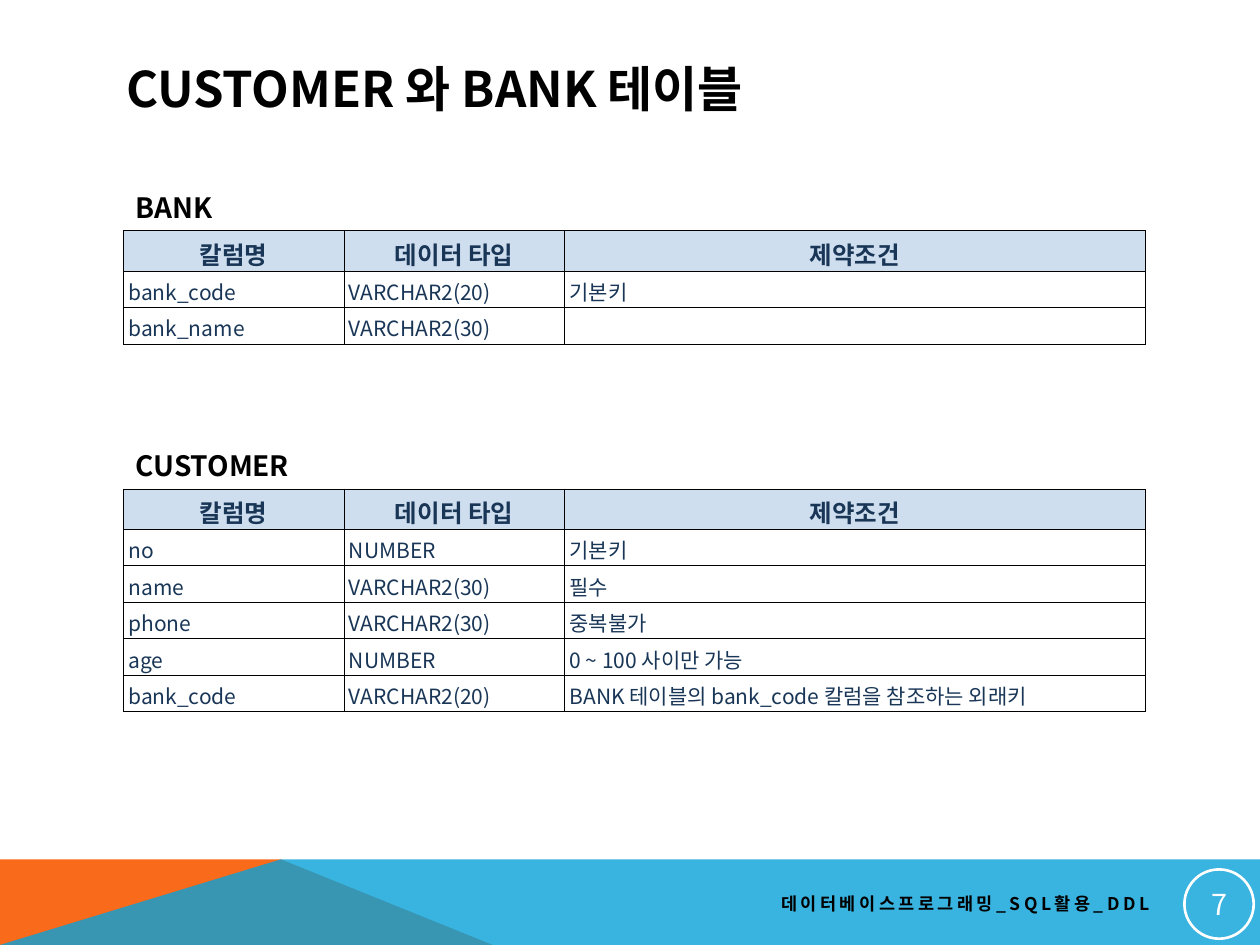
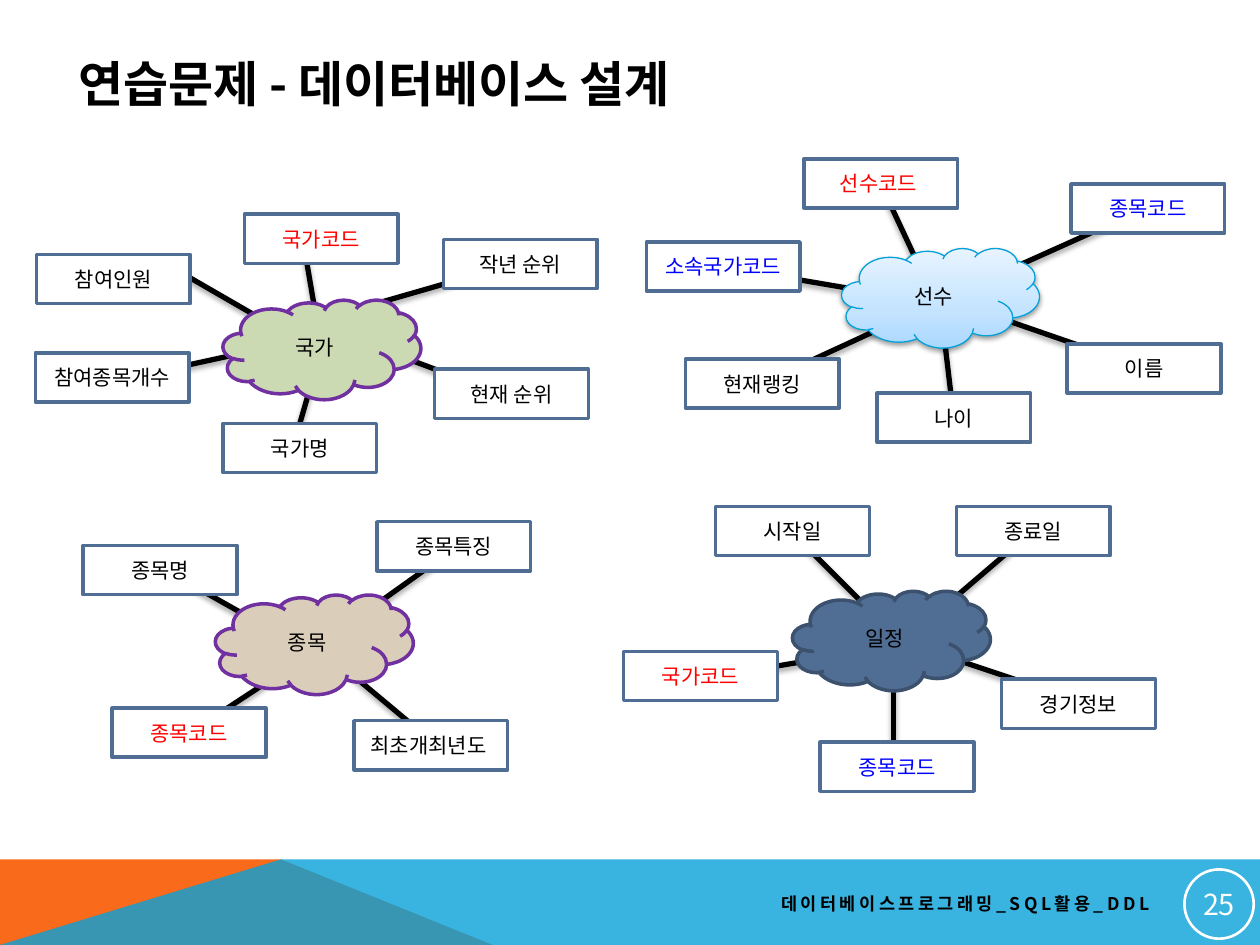
import dataclasses

import lxml.etree
import pptx
import pptx.dml.color
import pptx.enum.shapes
import pptx.enum.text
import pptx.oxml
import pptx.oxml.ns
import pptx.util

FONT = "Noto Sans CJK KR"
BLACK, WHITE, RED, BLUE = "000000", "FFFFFF", "FF0000", "0000FF"
ORANGE, SKY = "F96A1B", "08A1D9"
NAVY, PALE, STEEL, PURPLE = "193657", "CEDEEF", "506E94", "7030A0"
COLUMNS, ROWS = 100, 75
CELL = pptx.util.Inches(0.1)
ALIGN = pptx.enum.text.PP_ALIGN
MIDDLE = pptx.enum.text.MSO_ANCHOR.MIDDLE
SHAPE = pptx.enum.shapes.MSO_SHAPE
qn = pptx.oxml.ns.qn
NAMESPACE = pptx.oxml.ns.nsdecls("a")


@dataclasses.dataclass
class Box:
    """A rectangle in grid cells."""
    left: float
    top: float
    width: float
    height: float

    def lengths(self):
        """Return left, top, width and height as lengths."""
        return [cells(value) for value in (self.left, self.top, self.width, self.height)]

    def point(self, across, down):
        """Return a point offset from the top left corner, as lengths."""
        return cells(self.left + across), cells(self.top + down)


def cells(count):
    """Turn a count of grid cells into a length."""
    return int(count * CELL)


def color(code):
    """Turn a hex string into a colour."""
    return pptx.dml.color.RGBColor.from_string(code)


def write(frame, text, size, code=BLACK, bold=False, align=ALIGN.LEFT, spacing=None):
    """Set one line of text and format its run."""
    frame.text = text
    para = frame.paragraphs[0]
    para.alignment = align
    for span in para.runs:
        span.font.size = pptx.util.Pt(size)
        span.font.bold = bold
        span.font.color.rgb = color(code)
        span.font.name = FONT
        properties = span.font._element
        lxml.etree.SubElement(properties, qn("a:ea"), typeface=FONT)
        if spacing:
            properties.set("spc", str(spacing * 100))
    if not text:
        lxml.etree.SubElement(para._p, qn("a:endParaRPr"), sz=str(size * 100))


def add_shadow(shape, opacity, blur, distance):
    """Give a shape or connector a soft shadow that falls straight down."""
    shape._element.spPr.append(pptx.oxml.parse_xml(
        f'<a:effectLst {NAMESPACE}><a:outerShdw blurRad="{pptx.util.Pt(blur)}" '
        f'dist="{pptx.util.Pt(distance)}" dir="5400000" rotWithShape="0">'
        f'<a:srgbClr val="{BLACK}"><a:alpha val="{opacity * 1000}"/></a:srgbClr>'
        '</a:outerShdw></a:effectLst>'))


def fill_gradient(shape, stops):
    """Fill a shape with a gradient that runs from bottom to top."""
    marks = "".join(f'<a:gs pos="{place * 1000}"><a:srgbClr val="{code}"/></a:gs>'
                    for place, code in stops)
    shape._element.spPr.insert(2, pptx.oxml.parse_xml(
        f'<a:gradFill {NAMESPACE} rotWithShape="1"><a:gsLst>{marks}</a:gsLst>'
        '<a:lin ang="16200000" scaled="0"/></a:gradFill>'))


def add_shape(page, kind, box, line, weight, fill=None):
    """Add an outlined preset shape, filled with a colour or left clear."""
    shape = page.shapes.add_shape(kind, *box.lengths())
    shape.line.color.rgb = color(line)
    shape.line.width = pptx.util.Pt(weight)
    if isinstance(fill, list):
        fill_gradient(shape, fill)
    elif fill:
        shape.fill.solid()
        shape.fill.fore_color.rgb = color(fill)
    else:
        shape.fill.background()
    shape.text_frame.vertical_anchor = MIDDLE
    return shape


def add_band(page, master, points, code, opacity=100):
    """Draw one band polygon and move it to the slide master."""
    outline = [(cells(across), cells(down)) for across, down in points]
    builder = page.shapes.build_freeform(*outline[0], scale=1.0)
    builder.add_line_segments(outline[1:], close=True)
    band = builder.convert_to_shape()
    band.shadow.inherit = False
    band.fill.solid()
    band.fill.fore_color.rgb = color(code)
    band.line.fill.background()
    tint = band._element.spPr.find(".//" + qn("a:srgbClr"))
    lxml.etree.SubElement(tint, qn("a:alpha"), val=str(opacity * 1000))
    master.element.cSld.spTree.append(band._element)


def add_bands(page, master):
    """Draw the footer bands shared by every slide."""
    top, peak, foot = 68.2, 22.3, 39.1
    add_band(page, master, [(0, ROWS), (0, top), (peak, top), (foot, ROWS)], ORANGE)
    add_band(page, master, [(0, ROWS), (peak, top), (COLUMNS, top), (COLUMNS, ROWS)], SKY, 80)


def add_title(page, box, text):
    """Place and format the title placeholder."""
    title = page.shapes.title
    title.left, title.top, title.width, title.height = box.lengths()
    title.text_frame.auto_size = pptx.enum.text.MSO_AUTO_SIZE.NONE
    title.text_frame.vertical_anchor = MIDDLE
    write(title.text_frame, text, 28, bold=True)


def add_footer(page, number):
    """Add the course name and the ringed page number."""
    label = page.shapes.add_textbox(*Box(35.8, 70.2, 56.4, 3).lengths())
    label.text_frame.word_wrap = True
    label.text_frame.vertical_anchor = MIDDLE
    write(label.text_frame, "데이터베이스프로그래밍_SQL활용_DDL", 10, bold=True,
          align=ALIGN.RIGHT, spacing=2)
    ring = add_shape(page, SHAPE.OVAL, Box(94, 69, 5.5, 5.5), WHITE, 1.5)
    ring.shadow.inherit = False
    frame = ring.text_frame
    frame.margin_left = frame.margin_right = pptx.util.Inches(0.01)
    frame.margin_top = frame.margin_bottom = pptx.util.Inches(0.01)
    write(frame, str(number), 16.5, WHITE, align=ALIGN.CENTER)


def format_cell(cell, text, header):
    """Write one table cell with its fill, margins and borders."""
    cell.margin_left = cell.margin_right = pptx.util.Inches(0.04)
    cell.margin_top = cell.margin_bottom = pptx.util.Inches(0.04)
    cell.vertical_anchor = MIDDLE
    if header:
        cell.fill.solid()
        cell.fill.fore_color.rgb = color(PALE)
        write(cell.text_frame, text, 14, NAVY, True, ALIGN.CENTER)
    else:
        cell.fill.background()
        write(cell.text_frame, text, 12, NAVY)
    for index, side in enumerate(("lnL", "lnR", "lnT", "lnB")):
        cell._tc.tcPr.insert(index, pptx.oxml.parse_xml(
            f'<a:{side} {NAMESPACE} w="{pptx.util.Pt(0.28)}"><a:solidFill>'
            f'<a:srgbClr val="{BLACK}"/></a:solidFill></a:{side}>'))


def add_schema(page, box, name, fields):
    """Add a table name and the table of its columns below it."""
    label = page.shapes.add_textbox(*Box(box.left, box.top, 14.2, 3.7).lengths())
    label.text_frame.word_wrap = False
    write(label.text_frame, name, 16, bold=True)
    records = [("칼럼명", "데이터 타입", "제약조건"), *fields]
    area = Box(box.left, box.top + 3.7, box.width, box.height - 3.7)
    table = page.shapes.add_table(len(records), 3, *area.lengths()).table
    table.horz_banding = False
    for column, width in zip(table.columns, (17.5, 17.5, box.width - 35)):
        column.width = cells(width)
    for index, record in enumerate(records):
        table.rows[index].height = cells(2.9 if index else 3.2)
        for cell, text in zip(table.rows[index].cells, record):
            format_cell(cell, text, index == 0)


def add_spoke(page, start, end):
    """Add a thick shadowed line from an entity to an attribute."""
    spoke = page.shapes.add_connector(
        pptx.enum.shapes.MSO_CONNECTOR.STRAIGHT, *start, *end)
    spoke.line.color.rgb = color(BLACK)
    spoke.line.width = pptx.util.Pt(3)
    add_shadow(spoke, 35, 3.1, 1.8)


def add_entity(page, box, name, fill, line, attributes, raised=False):
    """Add a cloud in its box, with attributes placed relative to it."""
    for text, code, corner, start, end in attributes:
        add_spoke(page, box.point(*start), box.point(*end))
    for text, code, (across, down), start, end in attributes:
        place = Box(box.left + across, box.top + down, 12.2, 3.9)
        label = add_shape(page, SHAPE.RECTANGLE, place, STEEL, 2, WHITE)
        label.shadow.inherit = False
        write(label.text_frame, text, 12, code, align=ALIGN.CENTER)
    cloud = add_shape(page, SHAPE.CLOUD, box, line, 0.75 if raised else 2, fill)
    if raised:
        add_shadow(cloud, 38, 3.1, 1.6)
    else:
        cloud.shadow.inherit = False
    write(cloud.text_frame, name, 12, align=ALIGN.CENTER)


BANK = [("bank_code", "VARCHAR2(20)", "기본키"), ("bank_name", "VARCHAR2(30)", "")]
CUSTOMER = [
    ("no", "NUMBER", "기본키"),
    ("name", "VARCHAR2(30)", "필수"),
    ("phone", "VARCHAR2(30)", "중복불가"),
    ("age", "NUMBER", "0 ~ 100 사이만 가능"),
    ("bank_code", "VARCHAR2(20)", "BANK 테이블의 bank_code 칼럼을 참조하는 외래키"),
]
EVENT = [
    ("최초개최년도 ", BLACK, (11, 10), (7.8, 3.8), (17.5, 11.9)),
    ("종목코드", RED, (-8.2, 9), (6.6, 5.3), (-2.1, 11)),
    ("종목명", BLACK, (-10.5, -3.9), (6.6, 4), (-4.4, -2.2)),
    ("종목특징", BLACK, (12.8, -5.8), (7.8, 4.3), (18.9, -3.6)),
]
SCHEDULE = [
    ("시작일", BLACK, (-6.1, -6.7), (7.9, 3.3), (-0.1, -4.7)),
    ("종료일", BLACK, (13, -6.7), (12.8, 0.6), (19, -4.7)),
    ("경기정보", BLACK, (16.6, 7), (8.3, 3.9), (22.7, 8.7)),
    ("국가코드", RED, (-13.4, 4.8), (7.9, 4.4), (-7.3, 7)),
    ("종목코드", BLUE, (2.2, 12), (8, 4.4), (8, 13.7)),
]
PLAYER = [
    ("종목코드", BLUE, (18.2, -5.1), (8.4, 3.9), (24, -3.1)),
    ("이름", BLACK, (17.9, 7.6), (7.8, 3.9), (24, 9.5)),
    ("현재랭킹", BLACK, (-12.4, 8.8), (7.8, 4.2), (-6.3, 10.7)),
    ("나이", BLACK, (2.8, 11.5), (7.8, 4.2), (8.9, 13.5)),
    ("선수코드 ", RED, (-3, -7.1), (7.4, 4.1), (3.1, -5.1)),
    ("소속국가코드", BLUE, (-15.5, -0.5), (7.7, 4.4), (-9.3, 1.5)),
]
NATION = [
    ("참여종목개수", BLACK, (-14.9, 4.2), (3.5, 3.8), (-7.5, 6.2)),
    ("참여인원", BLACK, (-14.8, -3.6), (7, 3.8), (-2.7, -1.8)),
    ("국가코드", RED, (1.7, -6.8), (7.8, 3.8), (6.1, -6.2)),
    ("현재 순위", BLACK, (16.8, 5.5), (11.2, 3.4), (21.9, 7.4)),
    ("국가명", BLACK, (0, 9.8), (7.8, 3.9), (6.1, 9.8)),
    ("작년 순위", BLACK, (17.5, -4.8), (9.7, 1), (22.9, -2.8)),
]


def add_page(deck, title, box, number):
    """Add a slide with its title and footer."""
    page = deck.slides.add_slide(deck.slide_layouts[5])
    add_title(page, box, title)
    add_footer(page, number)
    return page


def build():
    """Build and save the deck."""
    deck = pptx.Presentation()
    deck.slide_width, deck.slide_height = cells(COLUMNS), cells(ROWS)
    page = add_page(deck, "CUSTOMER 와 BANK 테이블", Box(9, 4, 82.2, 6), 7)
    add_bands(page, deck.slide_master)
    add_schema(page, Box(9.8, 14.6, 81.1, 12.7), "BANK", BANK)
    add_schema(page, Box(9.8, 35.1, 81.1, 21.3), "CUSTOMER", CUSTOMER)
    page = add_page(deck, "연습문제 - 데이터베이스 설계", Box(5.2, 3.6, 82.2, 6), 25)
    size = (15.7, 7.9)
    glow = [(0, "ABD8FF"), (35, "C3E3FF"), (100, "E8F4FF")]
    add_entity(page, Box(17.1, 47.2, *size), "종목", "DACEBB", PURPLE, EVENT)
    add_entity(page, Box(62.9, 46.9, *size), "일정", STEEL, "3B516D", SCHEDULE)
    add_entity(page, Box(66.8, 19.7, *size), "선수", glow, "03A0D9", PLAYER, raised=True)
    add_entity(page, Box(17.7, 23.8, *size), "국가", "CCDAB3", PURPLE, NATION)
    deck.save("out.pptx")


build()
